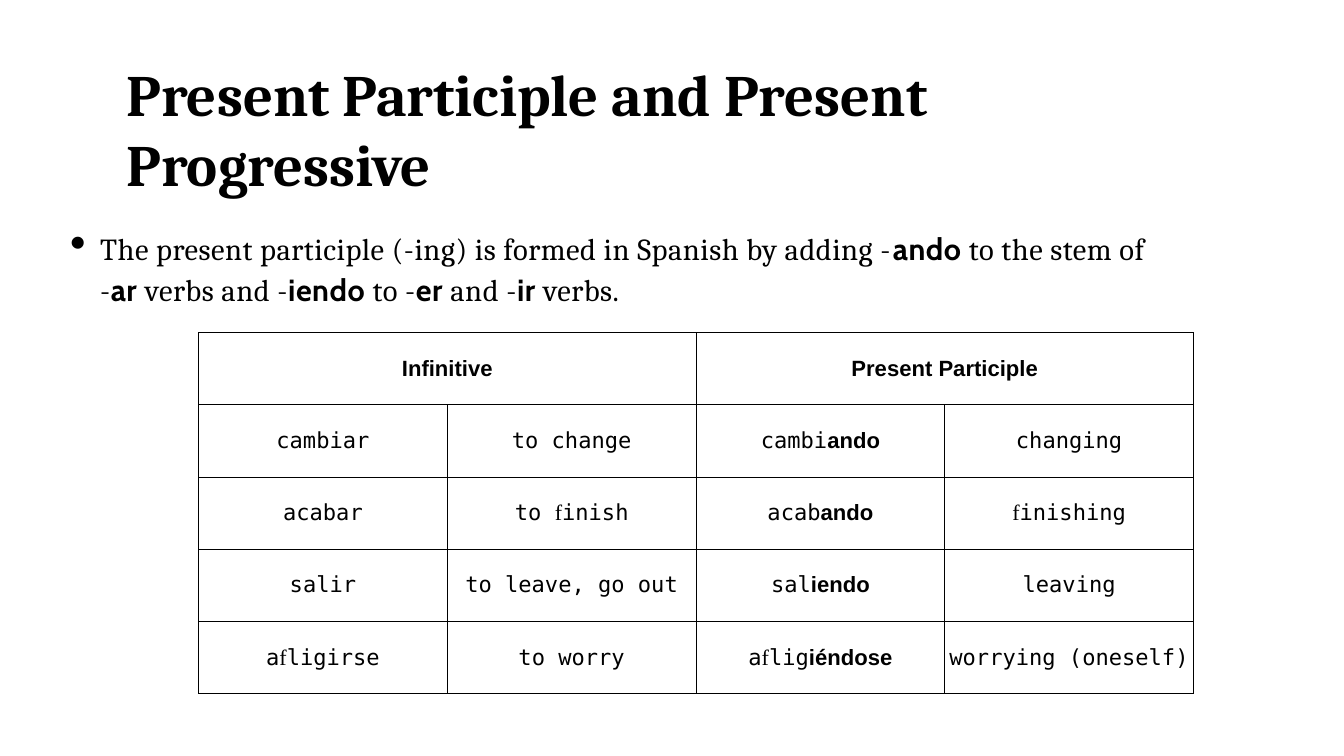
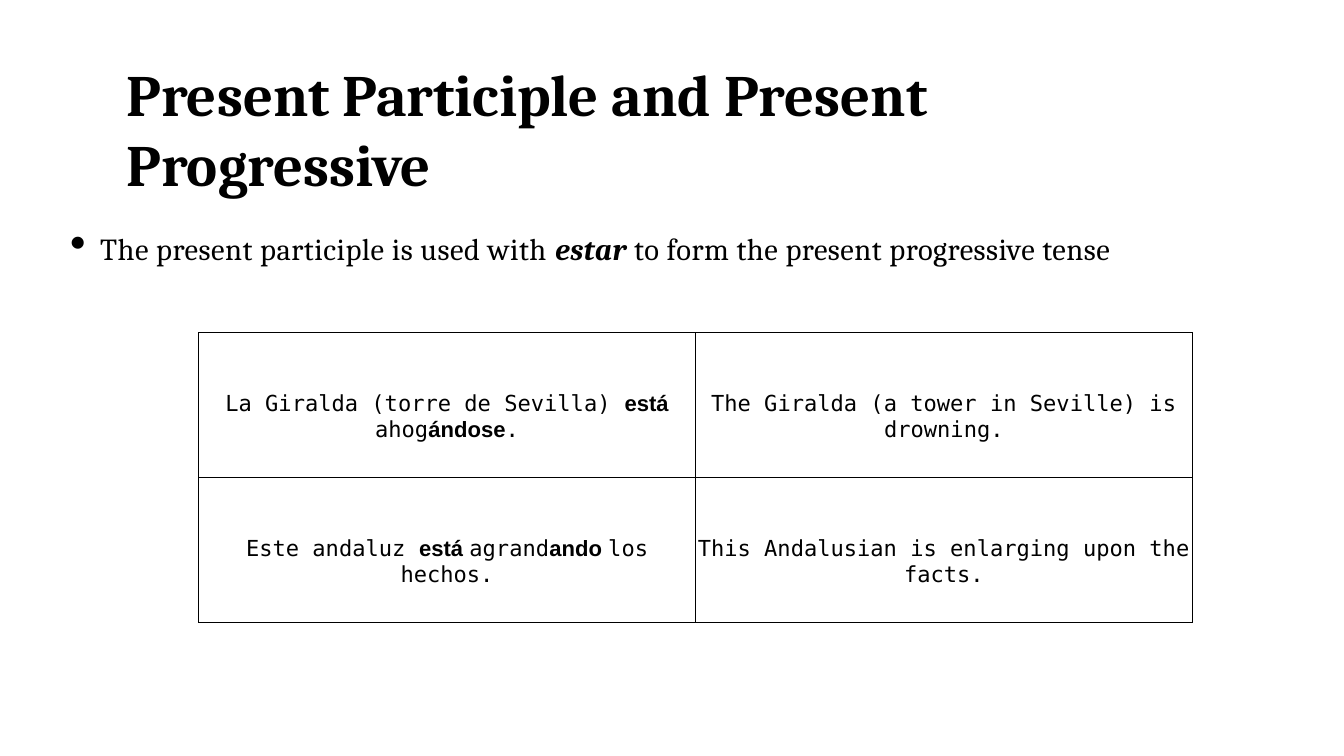
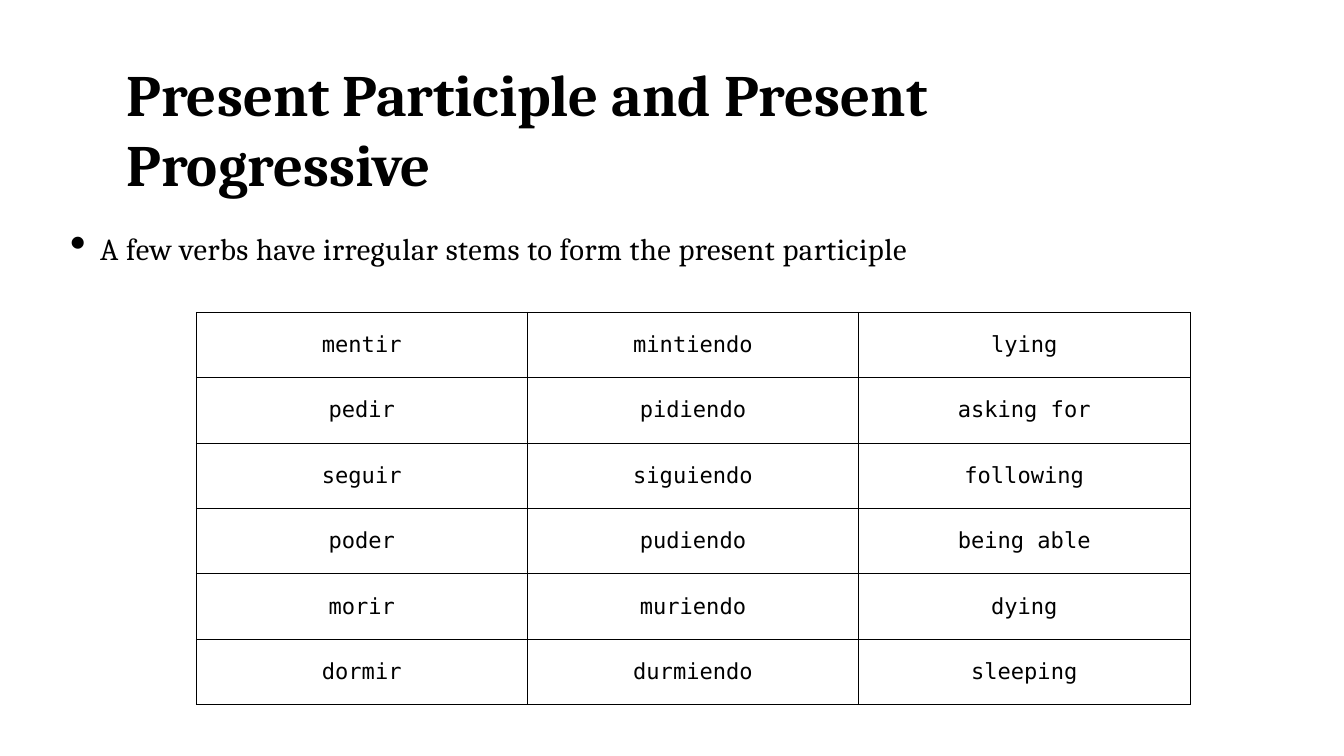
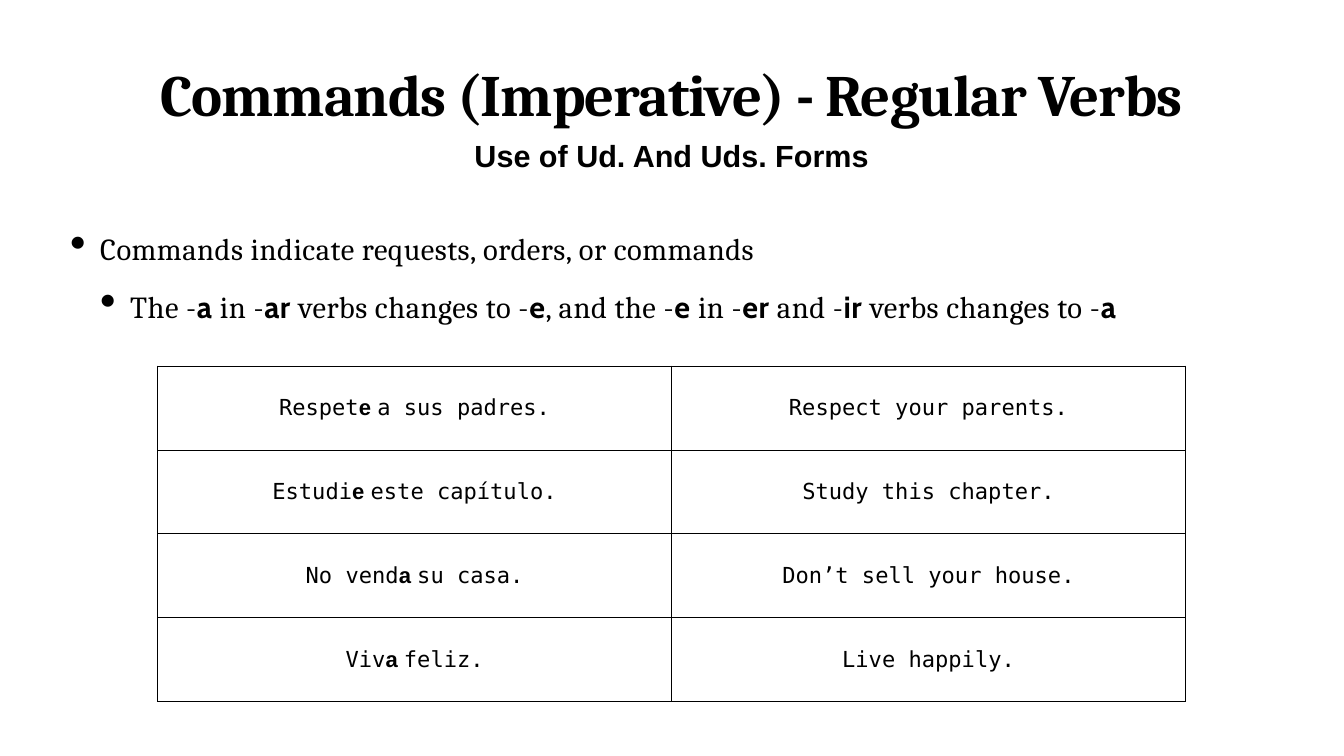
import pptx
import pptx.dml.color
import pptx.enum.text
import pptx.oxml
import pptx.oxml.ns
import pptx.util

Inches = pptx.util.Inches
Pt = pptx.util.Pt
ALIGN = pptx.enum.text.PP_ALIGN
ANCHOR = pptx.enum.text.MSO_ANCHOR
AUTO_SIZE = pptx.enum.text.MSO_AUTO_SIZE

BLACK = pptx.dml.color.RGBColor(0x00, 0x00, 0x00)
WHITE = pptx.dml.color.RGBColor(0xFF, 0xFF, 0xFF)

HEADING_FONT = "Cambria"
STRONG_FONT = "Cabin"
TABLE_FONT = "DejaVu Sans Mono"
LABEL_FONT = "Arial"
LIGATURE_FONT = "Times New Roman"

TITLE_SIZE = 69
BODY_SIZE = 36
TABLE_SIZE = 26
BODY_TRACKING = 0.6
HANGING = 0.49

PARTICIPLE_TITLE = "Present Participle and Present Progressive"
TITLE_BOX = (2.07, 0.92, 17.85, 1.18)


def write_para(para, text, size, font, strong_font, bold=False, tracking=0):
    """Fill a paragraph; *...* marks strong text and ~...~ a ligature letter."""
    para.font.size = Pt(size)
    para.font.name = font
    para.font.bold = bold
    para.font.color.rgb = BLACK
    for strong_index, chunk in enumerate(text.split("*")):
        for ligature_index, piece in enumerate(chunk.split("~")):
            if not piece:
                continue
            span = para.add_run()
            span.text = piece
            if strong_index % 2:
                span.font.name = strong_font
                span.font.bold = True
                span.font.italic = strong_font == HEADING_FONT or None
            elif ligature_index % 2:
                span.font.name = LIGATURE_FONT
            if tracking:
                span._r.get_or_add_rPr().set("spc", str(round(tracking * 100)))


def set_bullet(para, indent, bulleted):
    properties = para._p.get_or_add_pPr()
    properties.set("marL", str(Inches(indent)))
    properties.set("indent", str(Inches(-HANGING if bulleted else 0)))
    if bulleted:
        for tag, value in (("buSzPct", {"val": "151000"}), ("buChar", {"char": "•"})):
            bullet = pptx.oxml.parse_xml(f'<a:{tag} {pptx.oxml.ns.nsdecls("a")}/>')
            for name, setting in value.items():
                bullet.set(name, setting)
            properties.append(bullet)


def set_frame(shape, top_inset):
    frame = shape.text_frame
    frame.word_wrap = True
    frame.auto_size = AUTO_SIZE.SHAPE_TO_FIT_TEXT
    frame.vertical_anchor = ANCHOR.TOP
    frame.margin_left = frame.margin_right = frame.margin_bottom = 0
    frame.margin_top = Inches(top_inset)
    return frame


def add_page(deck, title, box=TITLE_BOX, inset=0.02, subtitle=None, tracking=0):
    page = deck.slides.add_slide(deck.slide_layouts[5])
    page.background.fill.solid()
    page.background.fill.fore_color.rgb = WHITE
    shape = page.shapes.title
    shape.left, shape.top, shape.width, shape.height = map(Inches, box)
    frame = set_frame(shape, inset)
    para = frame.paragraphs[0]
    para.alignment = ALIGN.CENTER if subtitle else ALIGN.LEFT
    write_para(para, title, TITLE_SIZE, HEADING_FONT, HEADING_FONT, True, tracking)
    if subtitle:
        para = frame.add_paragraph()
        para.alignment = ALIGN.CENTER
        para.space_before = Pt(10.9)
        write_para(para, subtitle, BODY_SIZE, LABEL_FONT, LABEL_FONT, True)
    return page


def add_points(page, height, points, strong_font=STRONG_FONT):
    shape = page.shapes.add_textbox(*map(Inches, (1.13, 3.67, 18.94, height)))
    frame = set_frame(shape, 0.09)
    for index, (text, indent, bulleted, space) in enumerate(points):
        para = frame.add_paragraph() if index else frame.paragraphs[0]
        set_bullet(para, indent, bulleted)
        para.space_before = Pt(space)
        write_para(para, text, BODY_SIZE, HEADING_FONT, strong_font,
                   tracking=BODY_TRACKING)


def set_borders(cell):
    properties = cell._tc.get_or_add_tcPr()
    for index, side in enumerate(("lnL", "lnR", "lnT", "lnB")):
        properties.insert(index, pptx.oxml.parse_xml(
            f'<a:{side} {pptx.oxml.ns.nsdecls("a")} w="{Pt(1)}"><a:solidFill>'
            f'<a:srgbClr val="{BLACK}"/></a:solidFill></a:{side}>'))


def add_grid(page, box, rows, headings=(), top_inset=0):
    column_count = len(rows[0])
    row_count = len(rows) + bool(headings)
    table = page.shapes.add_table(row_count, column_count, *map(Inches, box)).table
    table.first_row = table.horz_banding = False
    for column in table.columns:
        column.width = Inches(box[2] / column_count)
    for row in table.rows:
        row.height = Inches(box[3] / row_count)
    for cell in table.iter_cells():
        cell.fill.background()
        set_borders(cell)
        cell.margin_left = cell.margin_right = cell.margin_bottom = 0
        cell.margin_top = Inches(top_inset)
        cell.vertical_anchor = ANCHOR.MIDDLE

    def fill_cell(row_index, column_index, text, font, bold):
        para = table.cell(row_index, column_index).text_frame.paragraphs[0]
        para.alignment = ALIGN.CENTER
        write_para(para, text, TABLE_SIZE, font, LABEL_FONT, bold)

    for index, heading in enumerate(headings):
        reach = column_count // len(headings)
        first = index * reach
        table.cell(0, first).merge(table.cell(0, first + reach - 1))
        fill_cell(0, first, heading, LABEL_FONT, True)
    for row_index, row in enumerate(rows, start=bool(headings)):
        for column_index, text in enumerate(row):
            fill_cell(row_index, column_index, text, TABLE_FONT, False)


def add_formation_page(deck):
    page = add_page(deck, PARTICIPLE_TITLE)
    add_points(page, 1.39, [
        ("The present participle (-ing) is formed in Spanish by adding "
         "-*ando *to the stem of", 0.51, True, 0),
        ("-*ar *verbs and -*iendo *to -*er *and -*ir *verbs.", 0.51, False, 5.8),
    ])
    add_grid(page, (3.25, 5.44, 16.28, 5.91), [
        ("cambiar", "to change", "cambi*ando*", "changing"),
        ("acabar", "to ~f~inish", "acab*ando*", "~f~inishing"),
        ("salir", "to leave, go out", "sal*iendo*", "leaving"),
        ("a~f~ligirse", "to worry", "a~f~lig*iéndose*", "worrying (oneself)"),
    ], headings=("Infinitive", "Present Participle"))


def add_progressive_page(deck):
    page = add_page(deck, PARTICIPLE_TITLE)
    add_points(page, 1.23, [
        ("The present participle is used with *estar *to form the present "
         "progressive tense", 0.51, True, 0),
    ], strong_font=HEADING_FONT)
    add_grid(page, (3.25, 5.44, 16.26, 4.74), [
        ("La Giralda (torre de Sevilla) *está *ahog*ándose*.",
         "The Giralda (a tower in Seville) is drowning."),
        ("Este andaluz *está *agrand*ando *los hechos.",
         "This Andalusian is enlarging upon the facts."),
    ], top_inset=0.4)


def add_irregular_page(deck):
    page = add_page(deck, PARTICIPLE_TITLE)
    add_points(page, 0.7, [
        ("A few verbs have irregular stems to form the present participle",
         0.51, True, 0),
    ])
    add_grid(page, (3.21, 5.11, 16.26, 6.42), [
        ("mentir", "mintiendo", "lying"),
        ("pedir", "pidiendo", "asking for"),
        ("seguir", "siguiendo", "following"),
        ("poder", "pudiendo", "being able"),
        ("morir", "muriendo", "dying"),
        ("dormir", "durmiendo", "sleeping"),
    ])


def add_commands_page(deck):
    page = add_page(deck, "Commands (Imperative) - Regular Verbs",
                    box=(2.53, 0.64, 16.92, 2.22), inset=0.3,
                    subtitle="Use of Ud. And Uds. Forms", tracking=-1.1)
    add_points(page, 1.7, [
        ("Commands indicate requests, orders, or commands", 0.51, True, 0),
        ("The -*a *in -*ar *verbs changes to -*e*, and the -*e *in -*er *and "
         "-*ir *verbs changes to -*a*", 1, True, 25.6),
    ])
    add_grid(page, (2.58, 5.99, 16.82, 5.49), [
        ("Respet*e *a sus padres.", "Respect your parents."),
        ("Estudi*e *este capítulo.", "Study this chapter."),
        ("No vend*a *su casa.", "Don’t sell your house."),
        ("Viv*a *feliz.", "Live happily."),
    ])


def main():
    deck = pptx.Presentation()
    deck.slide_width = Inches(21.99)
    deck.slide_height = Inches(12.37)
    add_formation_page(deck)
    add_progressive_page(deck)
    add_irregular_page(deck)
    add_commands_page(deck)
    deck.save("out.pptx")


if __name__ == "__main__":
    main()
